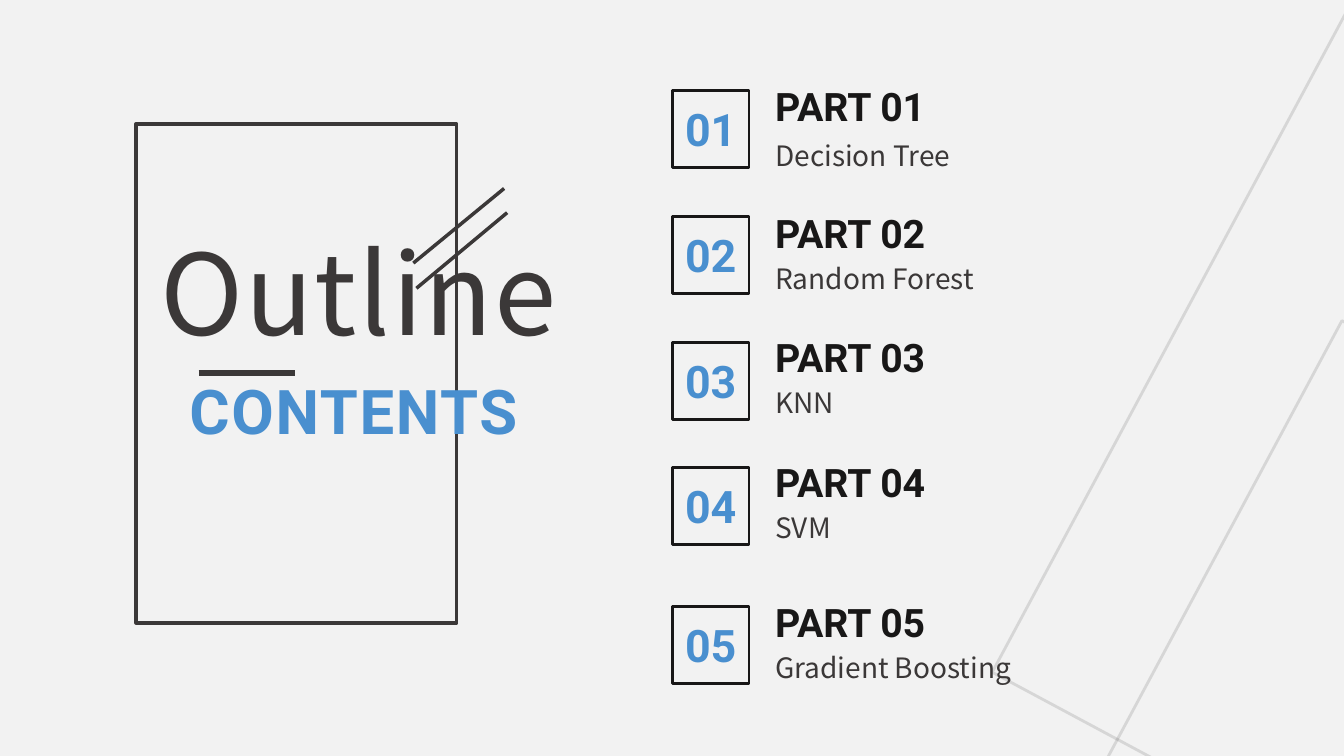
"""Build the outline slide with five numbered parts."""
from lxml.etree import SubElement
from pptx import Presentation
from pptx.dml.color import RGBColor
from pptx.enum.shapes import MSO_CONNECTOR as Connector, MSO_SHAPE as Shape
from pptx.enum.text import MSO_AUTO_SIZE as AutoSize, PP_ALIGN as Align
from pptx.oxml.ns import qn
from pptx.util import Inches, Pt

PAPER = RGBColor(0xF2, 0xF2, 0xF2)
GRAY = RGBColor(0x3B, 0x38, 0x38)
BLACK = RGBColor(0x18, 0x17, 0x17)
SKY = RGBColor(0x49, 0x8F, 0xCF)
INDIGO = RGBColor(0x2B, 0x37, 0xBE)
HEADING_FONT = "Roboto"
BODY_FONT = "Noto Sans CJK SC"

deck = Presentation()
deck.slide_width, deck.slide_height = Inches(13.33), Inches(7.5)
slide = deck.slides.add_slide(deck.slide_layouts[6])
slide.background.fill.solid()
slide.background.fill.fore_color.rgb = PAPER


def add_frame(left, top, width, height, color, weight):
    frame = slide.shapes.add_shape(
        Shape.RECTANGLE, Inches(left), Inches(top), Inches(width), Inches(height))
    frame.shadow.inherit = False
    frame.fill.background()
    frame.line.color.rgb = color
    frame.line.width = Pt(weight)
    return frame


def add_label(text, left, top, width, height, size, font, color=None, bold=False):
    box = slide.shapes.add_textbox(Inches(left), Inches(top), Inches(width), Inches(height))
    box.text_frame.word_wrap = True
    box.text_frame.auto_size = AutoSize.SHAPE_TO_FIT_TEXT
    para = box.text_frame.paragraphs[0]
    span = para.add_run()
    span.text = text
    span.font.size, span.font.name, span.font.bold = Pt(size), font, bold
    if color is None:
        span.font.fill.gradient()
        span.font.fill.gradient_angle = 225
        for stop, shade in zip(span.font.fill.gradient_stops, (SKY, INDIGO)):
            stop.color.rgb = shade
    else:
        span.font.color.rgb = color
    return para


for left, top in ((11.17, 1.38), (11.09, 4.51)):
    square = add_frame(left, top, 7.51, 7.51, GRAY, 2)
    square.rotation = 298.2
    tint = square.line.fill._xPr.find(qn("a:solidFill"))[0]
    SubElement(tint, qn("a:alpha"), val="15000")

add_frame(1.35, 1.23, 3.18, 4.95, GRAY, 2.5)
contents = add_label("CONTENTS", 1.78, 3.65, 4.72, 0.84, 44, HEADING_FONT, bold=True)
outline = add_label("Outline", 1.49, 2.78, 4.16, 0.83, 80, BODY_FONT, GRAY)
outline.line_spacing = Pt(52)
for para, spacing in ((contents, "120"), (outline, "130")):
    para.runs[0]._r.get_or_add_rPr().set("spc", spacing)

STROKES = [
    (1.97, 3.7, 2.93, 3.7, 4),
    (5, 1.87, 4.1, 2.61, 2.5),
    (5.03, 2.11, 4.13, 2.86, 2.5),
]
for x1, y1, x2, y2, weight in STROKES:
    stroke = slide.shapes.add_connector(
        Connector.STRAIGHT, Inches(x1), Inches(y1), Inches(x2), Inches(y2))
    stroke.line.color.rgb = GRAY
    stroke.line.width = Pt(weight)
    SubElement(stroke._element.spPr, qn("a:effectLst"))

PARTS = [
    ("Decision Tree", 0.9, 0.77, 1.32),
    ("Random Forest", 2.15, 2.03, 2.55),
    ("KNN", 3.4, 3.26, 3.78),
    ("SVM", 4.64, 4.5, 5.02),
    ("Gradient Boosting", 6.02, 5.89, 6.4),
]
for number, (topic, badge_top, part_top, topic_top) in enumerate(PARTS, 1):
    add_frame(6.67, badge_top, 0.76, 0.76, BLACK, 2)
    badge = add_label(f"{number:02}", 6.67, badge_top + 0.06, 0.76, 0.64,
                      32, HEADING_FONT, bold=True)
    badge.alignment = Align.CENTER
    add_label(f"PART {number:02}", 7.59, part_top, 2.25, 0.57, 28, HEADING_FONT, BLACK, True)
    add_label(topic, 7.59, topic_top, 3.41, 0.44, 20, BODY_FONT, GRAY)

deck.save("out.pptx")
